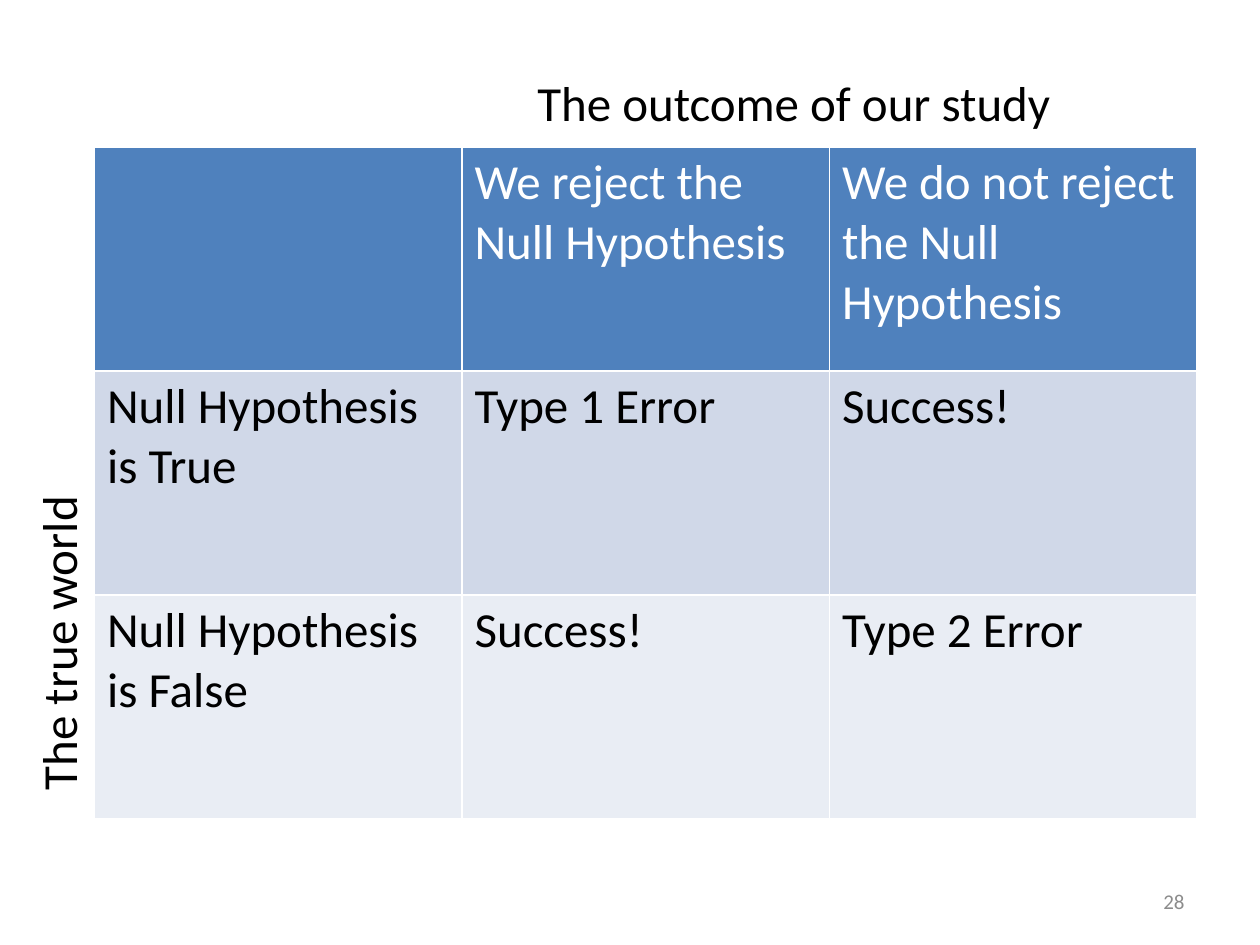
import pptx
import pptx.dml.color
import pptx.enum.text
import pptx.util

Pt = pptx.util.Pt
RGBColor = pptx.dml.color.RGBColor
BLACK = RGBColor(0x00, 0x00, 0x00)
WHITE = RGBColor(0xFF, 0xFF, 0xFF)
GREY = RGBColor(0x8C, 0x8C, 0x8C)
HEADER_BLUE = RGBColor(0x4F, 0x81, 0xBD)
ROW_FILLS = [HEADER_BLUE, RGBColor(0xD0, 0xD8, 0xE8), RGBColor(0xE9, 0xED, 0xF4)]
OUTCOMES = [
    ["", "We reject the Null Hypothesis", "We do not reject the Null Hypothesis"],
    ["Null Hypothesis is True", "Type 1 Error", "Success!"],
    ["Null Hypothesis is False", "Success!", "Type 2 Error"],
]


def format_paragraph(paragraph, size, color):
    """Set the slide's typeface with the given size and colour."""
    paragraph.font.name = "Calibri"
    paragraph.font.size = Pt(size)
    paragraph.font.bold = False
    paragraph.font.color.rgb = color


def add_label(slide, box, text, size=28, color=BLACK):
    """Add a one-line text box and return its shape."""
    shape = slide.shapes.add_textbox(*map(Pt, box))
    shape.text_frame.word_wrap = True
    paragraph = shape.text_frame.paragraphs[0]
    paragraph.text = text
    format_paragraph(paragraph, size, color)
    return shape


def add_outcome_table(slide, box):
    """Add the table of hypothesis truths against study decisions."""
    table = slide.shapes.add_table(len(OUTCOMES), len(OUTCOMES[0]), *map(Pt, box)).table
    for row_index, (texts, fill) in enumerate(zip(OUTCOMES, ROW_FILLS)):
        for column_index, text in enumerate(texts):
            cell = table.cell(row_index, column_index)
            cell.fill.solid()
            cell.fill.fore_color.rgb = fill
            cell.text = text
            color = WHITE if row_index == 0 else BLACK
            format_paragraph(cell.text_frame.paragraphs[0], 28, color)


def add_axis_labels(slide, box):
    """Name the columns above the table and the rows to its left."""
    left, top, width, height = box
    add_label(slide, (left + 246, top - 46, 360, 41), "The outcome of our study")
    label_width, label_height = 248, 41
    center_x, center_y = left - 21, top + 250.5
    row_label = add_label(
        slide,
        (center_x - label_width / 2, center_y - label_height / 2, label_width, label_height),
        "The true world",
    )
    row_label.rotation = 270


def add_slide_number(slide, box):
    """Add the slide number, right-aligned in the footer."""
    shape = add_label(slide, box, "28", 12, GREY)
    shape.text_frame.vertical_anchor = pptx.enum.text.MSO_ANCHOR.MIDDLE
    shape.text_frame.paragraphs[0].alignment = pptx.enum.text.PP_ALIGN.RIGHT


def main():
    """Build and save the slide."""
    presentation = pptx.Presentation()
    presentation.slide_width, presentation.slide_height = Pt(720), Pt(540)
    slide = presentation.slides.add_slide(presentation.slide_layouts[6])
    table_box = (54, 84, 630, 384)
    add_slide_number(slide, (516, 500.5, 168, 28.75))
    add_outcome_table(slide, table_box)
    add_axis_labels(slide, table_box)
    presentation.save("out.pptx")


if __name__ == "__main__":
    main()
